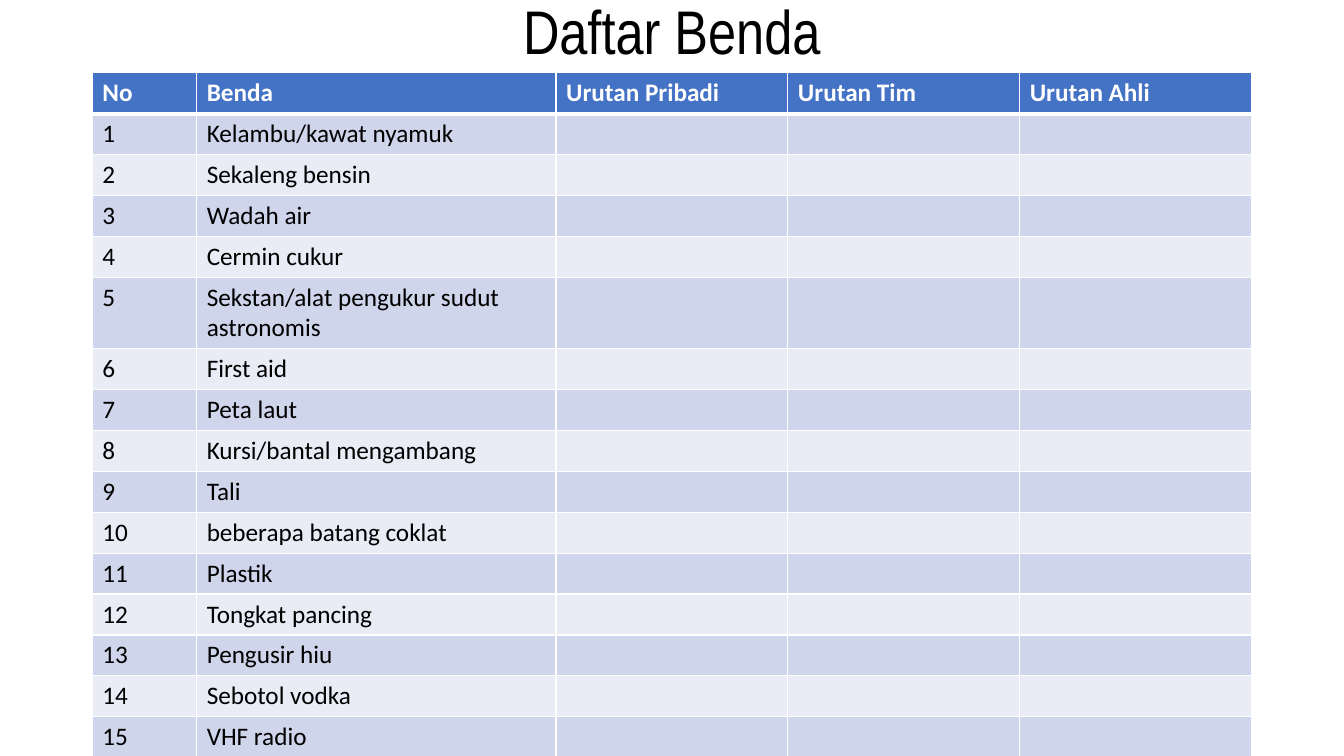
from lxml.etree import SubElement as Sub
from pptx import Presentation
from pptx.dml.color import RGBColor
from pptx.enum.text import MSO_ANCHOR as Anchor, MSO_AUTO_SIZE as Auto, PP_ALIGN as Align
from pptx.oxml.ns import qn
from pptx.util import Pt

WIDE, HIGH = 960, 540
HEADS = ["No", "Benda", "Urutan Pribadi", "Urutan Tim", "Urutan Ahli"]
ITEMS = [
    "Kelambu/kawat nyamuk",
    "Sekaleng bensin",
    "Wadah air",
    "Cermin cukur",
    "Sekstan/alat pengukur sudut astronomis",
    "First aid",
    "Peta laut",
    "Kursi/bantal mengambang",
    "Tali",
    "beberapa batang coklat",
    "Plastik",
    "Tongkat pancing",
    "Pengusir hiu",
    "Sebotol vodka",
    "VHF radio",
]
SHARES = [0.09, 0.31, 0.2, 0.2, 0.2]
ROW = 29.2
HEAD, BANDS = "4472C4", ["CFD5EA", "E9EBF5"]
WHITE, BLACK = "FFFFFF", "000000"


def color(code):
    return RGBColor.from_string(code)


def style(font, name, size, code, bold=False):
    font.name, font.size, font.bold = name, Pt(size), bold
    font.color.rgb = color(code)


def border(cell, top, base):
    """Draw white cell edges; top and base are line widths in points."""
    props = cell._tc.get_or_add_tcPr()
    for side, width in zip("LRTB", (1, 1, top, base)):
        line = Sub(props, qn(f"a:ln{side}"), w=str(Pt(width)))
        fill = Sub(line, qn("a:solidFill"))
        Sub(fill, qn("a:srgbClr"), val=WHITE)


def add_title(slide, left, top, width, height):
    title = slide.shapes.title
    title.left, title.top = Pt(left), Pt(top)
    title.width, title.height = Pt(width), Pt(height)
    frame = title.text_frame
    frame.text = "Daftar Benda"
    frame.auto_size, frame.word_wrap = Auto.NONE, True
    frame.vertical_anchor = Anchor.MIDDLE
    para = frame.paragraphs[0]
    para.alignment, para.line_spacing = Align.CENTER, 0.9
    style(para.runs[0].font, "Arial Narrow", 44, BLACK)


def add_list(slide, left, top, width):
    rows = [HEADS] + [[str(n), item, "", "", ""] for n, item in enumerate(ITEMS, 1)]
    table = slide.shapes.add_table(
        len(rows), len(HEADS), Pt(left), Pt(top), Pt(width), Pt(ROW * len(rows))
    ).table
    for col, share in zip(table.columns, SHARES):
        col.width = Pt(width * share)
    for r, texts in enumerate(rows):
        table.rows[r].height = Pt(ROW)
        for c, text in enumerate(texts):
            cell = table.cell(r, c)
            border(cell, 3 if r == 1 else 1, 3 if r == 0 else 1)
            cell.fill.solid()
            cell.fill.fore_color.rgb = color(BANDS[(r - 1) % 2] if r else HEAD)
            para = cell.text_frame.paragraphs[0]
            if text:
                para.text = text
                style(para.runs[0].font, "Calibri", 18, BLACK if r else WHITE, r == 0)


def main():
    deck = Presentation()
    deck.slide_width, deck.slide_height = Pt(WIDE), Pt(HIGH)
    slide = deck.slides.add_slide(deck.slide_layouts[5])
    add_title(slide, 66, -27.4, 828, 104.4)
    add_list(slide, 66, 52, 828)
    deck.save("out.pptx")


if __name__ == "__main__":
    main()
